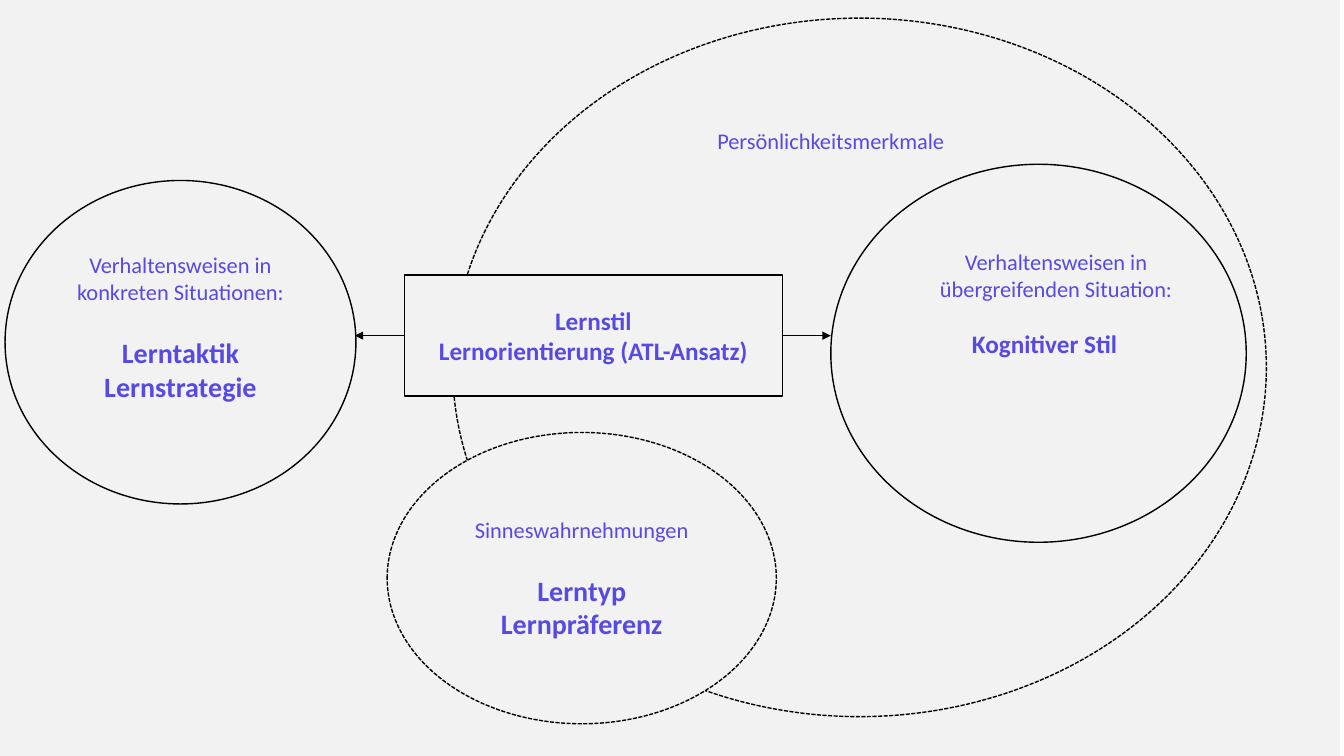
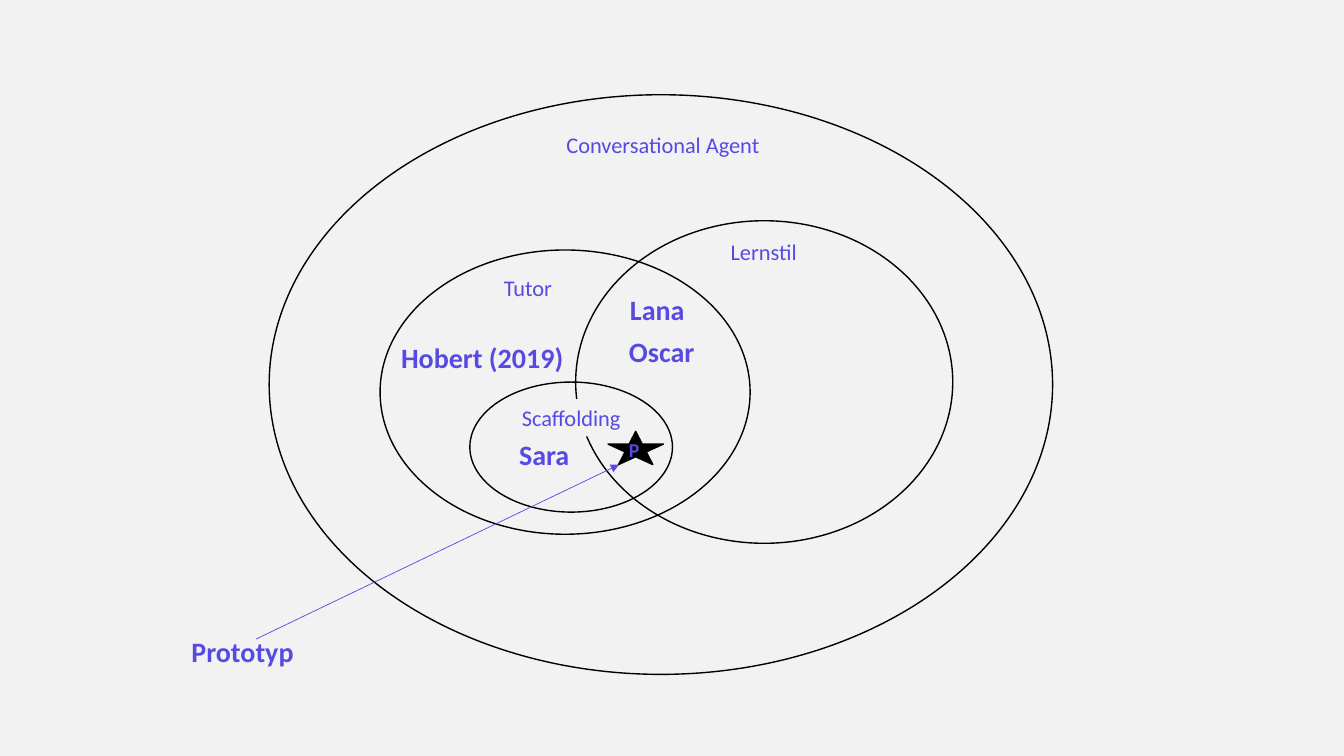
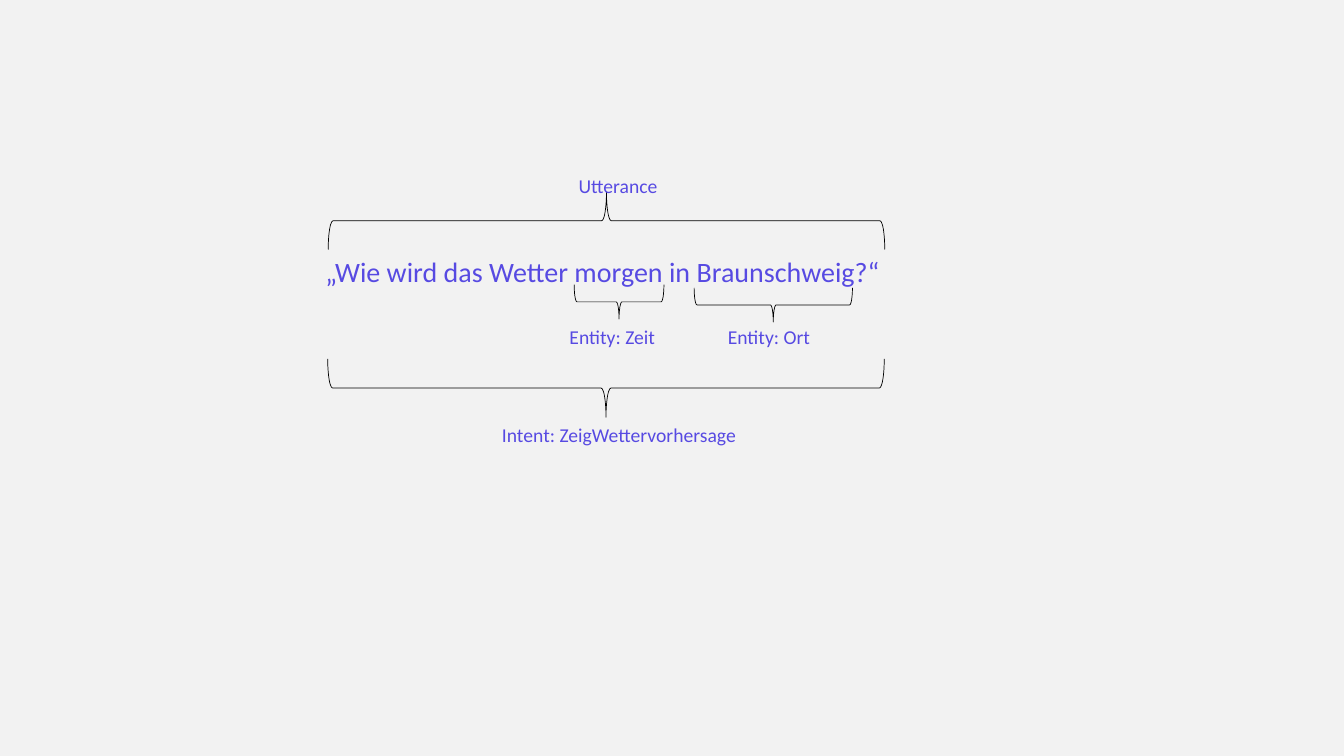
from dataclasses import dataclass
from typing import Optional

from lxml.etree import SubElement
from pptx import Presentation
from pptx.dml.color import RGBColor
from pptx.enum.dml import MSO_LINE
from pptx.enum.shapes import MSO_CONNECTOR, MSO_SHAPE
from pptx.enum.text import MSO_ANCHOR, MSO_AUTO_SIZE, PP_ALIGN
from pptx.oxml.ns import qn
from pptx.util import Inches, Pt

COLORS = {"ground": "F2F2F2", "ink": "000000", "text": "574AE2"}
FONT = "Calibri"
WIDE, HIGH = 13.33, 7.5
GAP = 22

Box = tuple[float, float, float, float]
Point = tuple[float, float]


@dataclass(frozen=True)
class Line:
    text: str
    size: int = 16
    bold: bool = False
    gap: int = 0


@dataclass(frozen=True)
class Form:
    kind: MSO_SHAPE
    box: Box
    lines: tuple[Line, ...] = ()
    fill: Optional[str] = None
    line: Optional[str] = "ink"
    width: float = 1
    dash: bool = False
    turn: int = 0
    foot: float = 0.05


@dataclass(frozen=True)
class Label:
    text: str
    box: Box
    size: int = 16
    bold: bool = False
    center: bool = False
    fill: Optional[str] = None


def color(name: str) -> RGBColor:
    return RGBColor.from_string(COLORS[name])


def write(shape, lines: tuple[Line, ...], *, center: bool = True,
          middle: bool = True, foot: float = 0.05) -> None:
    frame = shape.text_frame
    frame.word_wrap = True
    frame.margin_bottom = Inches(foot)
    frame.vertical_anchor = MSO_ANCHOR.MIDDLE if middle else MSO_ANCHOR.TOP
    for i, line in enumerate(lines):
        para = frame.add_paragraph() if i else frame.paragraphs[0]
        para.alignment = PP_ALIGN.CENTER if center else PP_ALIGN.LEFT
        para.space_before = Pt(line.gap)
        run = para.add_run()
        run.text = line.text
        font = run.font
        font.name, font.size, font.bold = FONT, Pt(line.size), line.bold
        font.color.rgb = color("text")


def paint(shape, fill: Optional[str]) -> None:
    if fill:
        shape.fill.solid()
        shape.fill.fore_color.rgb = color(fill)
    else:
        shape.fill.background()


def add_form(slide, form: Form):
    shape = slide.shapes.add_shape(form.kind, *map(Inches, form.box))
    shape.shadow.inherit = False
    shape.rotation = form.turn
    paint(shape, form.fill)
    if form.line:
        shape.line.color.rgb = color(form.line)
        shape.line.width = Pt(form.width)
        if form.dash:
            shape.line.dash_style = MSO_LINE.SQUARE_DOT
    else:
        shape.line.fill.background()
    if form.lines:
        write(shape, form.lines, foot=form.foot)
    return shape


def add_label(slide, label: Label):
    shape = slide.shapes.add_textbox(*map(Inches, label.box))
    paint(shape, label.fill)
    write(shape, (Line(label.text, label.size, label.bold),),
          center=label.center, middle=False)
    shape.text_frame.auto_size = MSO_AUTO_SIZE.SHAPE_TO_FIT_TEXT
    return shape


def draw(slide, *items: Form | Label) -> None:
    for item in items:
        if isinstance(item, Form):
            add_form(slide, item)
        else:
            add_label(slide, item)


def arrow(slide, start: Point, end: Point, tint: str = "ink"):
    link = slide.shapes.add_connector(
        MSO_CONNECTOR.STRAIGHT, *map(Inches, start + end))
    link.line.color.rgb = color(tint)
    link.line.width = Pt(0.5)
    SubElement(link.line._get_or_add_ln(), qn("a:tailEnd"), type="triangle")
    SubElement(link._element.spPr, qn("a:effectLst"))
    return link


def new_slide(deck, wide: float = WIDE):
    slide = deck.slides.add_slide(deck.slide_layouts[6])
    add_form(slide, Form(MSO_SHAPE.RECTANGLE, (0, 0, wide, HIGH),
                         fill="ground", line="ground"))
    return slide


def oval(*box: float, **style) -> Form:
    return Form(MSO_SHAPE.OVAL, box, **style)


def brace(kind: MSO_SHAPE, turn: int, *box: float) -> Form:
    return Form(kind, box, width=0.5, turn=turn)


def style_slide(deck) -> None:
    slide = new_slide(deck, 13.28)
    draw(
        slide,
        oval(4.49, 0.18, 8.07, 6.93, dash=True),
        Label("Persönlichkeitsmerkmale", (5.73, 1.21, 5.02, 0.37), center=True),
        Label("Kognitiver Stil", (8.53, 3.21, 3.66, 0.71), 18, True, True),
        Label("Verhaltensweisen in übergreifenden Situation:",
              (9.21, 2.41, 2.53, 0.64), center=True),
    )
    hub = add_form(slide, Form(
        MSO_SHAPE.RECTANGLE, (4.01, 2.73, 3.75, 1.2),
        (Line("Lernstil", 18, True),
         Line("Lernorientierung (ATL-Ansatz)", 18, True)), fill="ground"))
    draw(
        slide,
        oval(8.24, 1.63, 4.12, 3.75),
        oval(3.84, 4.29, 3.86, 2.89, fill="ground", dash=True, lines=(
            Line("Sinneswahrnehmungen"),
            Line("Lerntyp", 20, True, GAP),
            Line("Lernpräferenz", 20, True))),
        oval(0.05, 1.79, 3.48, 3.21, foot=0.35, lines=(
            Line("Verhaltensweisen in konkreten Situationen:"),
            Line("Lerntaktik Lernstrategie", 20, True, GAP))),
    )
    for side, start, end in ((3, 7.76, 8.24), (1, 4.01, 3.52)):
        arrow(slide, (start, 3.33), (end, 3.33)).begin_connect(hub, side)


def agent_slide(deck) -> None:
    slide = new_slide(deck)
    draw(
        slide,
        oval(2.67, 0.94, 7.77, 5.75),
        Label("Conversational Agent", (4.33, 1.25, 4.49, 0.37), center=True),
        oval(3.77, 2.48, 3.67, 2.82),
        oval(5.71, 2.19, 3.74, 3.2),
        Label("Tutor", (2.99, 2.67, 4.49, 0.37), center=True),
        Label("Lernstil", (4.71, 2.31, 5.73, 0.37), center=True),
        oval(4.66, 3.79, 2.01, 1.29),
        Label("Scaffolding", (5.02, 3.96, 1.29, 0.37), center=True,
              fill="ground"),
    )
    for name, left, top, wide in (
        ("Hobert (2019)", 3.88, 3.33, 1.93),
        ("Lana", 6.15, 2.85, 1.74),
        ("Oscar", 6.14, 3.27, 1.74),
        ("Sara", 5.05, 4.29, 1.74),
        ("Prototyp", 1.8, 6.25, 1.74),
    ):
        add_label(slide, Label(name, (left, top, wide, 0.44), 20, True))
    arrow(slide, (2.54, 6.34), (6.14, 4.61), "text")
    draw(
        slide,
        Form(MSO_SHAPE.STAR_5_POINT, (6.03, 4.28, 0.55, 0.33), fill="ink"),
        Label("P", (6.14, 4.3, 0.84, 0.34), 14, True),
    )


def intent_slide(deck) -> None:
    slide = new_slide(deck)
    left, right = MSO_SHAPE.LEFT_BRACE, MSO_SHAPE.RIGHT_BRACE
    draw(
        slide,
        brace(right, 270, 5.73, -0.57, 0.57, 5.52),
        brace(left, 270, 5.97, 2.55, 0.34, 0.89),
        brace(left, 270, 7.5, 2.24, 0.34, 1.57),
        brace(right, 90, 5.72, 1.09, 0.58, 5.52),
    )
    for text, start, top, wide in (
        ("Utterance", 5.64, 1.68, 1.72),
        ("Entity: Zeit", 5.55, 3.17, 1.33),
        ("Entity: Ort", 7.12, 3.17, 1.33),
        ("Intent: ZeigWettervorhersage", 4.88, 4.15, 2.67),
    ):
        add_label(slide, Label(text, (start, top, wide, 0.34), 14))
    add_label(slide, Label("„Wie wird das Wetter morgen in Braunschweig?“",
                           (3.13, 2.48, 5.84, 0.44), 20))


def main() -> None:
    deck = Presentation()
    deck.slide_width, deck.slide_height = Inches(WIDE), Inches(HIGH)
    for build in (style_slide, agent_slide, intent_slide):
        build(deck)
    deck.save("out.pptx")


if __name__ == "__main__":
    main()
